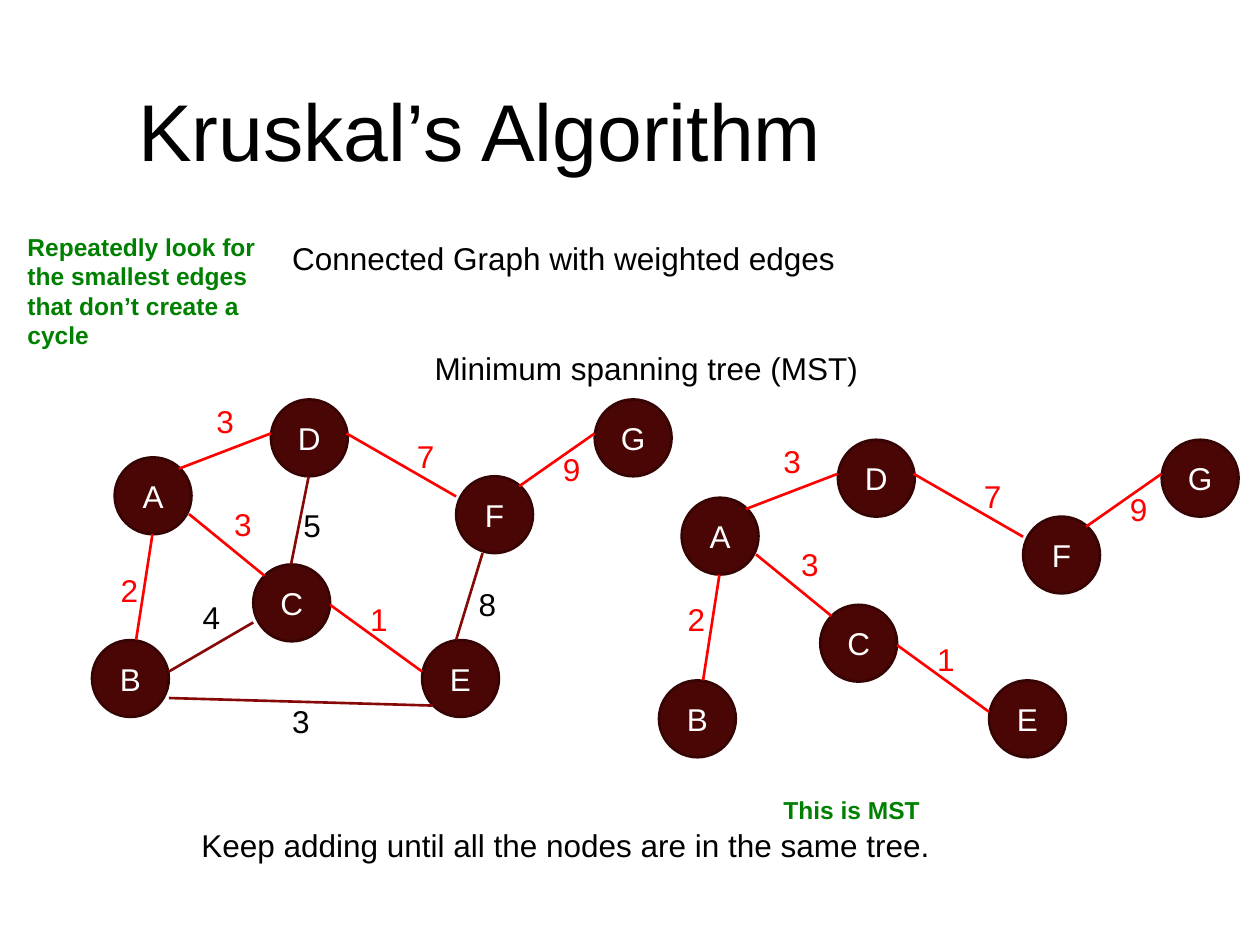
from lxml import etree
from pptx import Presentation
from pptx.dml.color import RGBColor
from pptx.enum.shapes import MSO_CONNECTOR, MSO_SHAPE
from pptx.enum.text import MSO_ANCHOR, MSO_AUTO_SIZE, PP_ALIGN
from pptx.oxml.ns import qn
from pptx.util import Inches, Pt

STRAIGHT = MSO_CONNECTOR.STRAIGHT
ELLIPSE = MSO_SHAPE.OVAL
MIDDLE = MSO_ANCHOR.MIDDLE
FIT_SHAPE = MSO_AUTO_SIZE.SHAPE_TO_FIT_TEXT
LEFT, CENTER = PP_ALIGN.LEFT, PP_ALIGN.CENTER

COLORS = {
    "text": "000000",
    "note": "008000",
    "node": "4A0505",
    "node_border": "370404",
    "node_text": "FFFFFF",
    "tree_edge": "FF0000",
    "other_edge": "860908",
}
NODE_SIZE = 0.61
LABEL_SIZE = (0.34, 0.4)


def rgb(name):
    return RGBColor.from_string(COLORS[name])


def write(shape, text, size=18, color="text", bold=False, align=LEFT,
          wrap=True, anchor=None, grow=False):
    frame = shape.text_frame
    frame.word_wrap = wrap
    if anchor is not None:
        frame.vertical_anchor = anchor
    if grow:
        frame.auto_size = FIT_SHAPE
    paragraph = frame.paragraphs[0]
    paragraph.alignment = align
    run = paragraph.add_run()
    run.text = text
    run.font.name = "Arial"
    run.font.size = Pt(size)
    run.font.bold = bold
    run.font.color.rgb = rgb(color)


prs = Presentation()
prs.slide_width, prs.slide_height = Inches(10), Inches(7.5)
slide = prs.slides.add_slide(prs.slide_layouts[6])
shapes = slide.shapes

# Title and explanations
texts = [
    ("Kruskal’s Algorithm", (1, 0.55, 8, 0.95), {"size": 46, "anchor": MIDDLE}),
    ("Minimum spanning tree (MST)", (3.35, 2.72, 3.79, 0.4),
     {"wrap": False, "grow": True}),
    ("Connected Graph with weighted edges", (2.22, 1.85, 6.79, 0.4),
     {"grow": True}),
    ("Repeatedly look for the smallest edges that don’t create a cycle",
     (0.12, 1.79, 2.16, 1.04),
     {"size": 14, "color": "note", "bold": True, "grow": True}),
    ("Keep adding until all the nodes are in the same tree.",
     (1.5, 6.51, 6.62, 0.4), {"wrap": False, "grow": True}),
    ("This is MST", (6.12, 6.26, 2.06, 0.34),
     {"size": 14, "color": "note", "bold": True, "grow": True}),
]
for text, box, text_format in texts:
    write(shapes.add_textbox(*map(Inches, box)), text, **text_format)

# Left and top of each node in the full graph
nodes = {
    "A": (0.91, 3.63),
    "D": (2.15, 3.17),
    "C": (2.01, 4.48),
    "F": (3.62, 3.78),
    "G": (4.72, 3.17),
    "E": (3.35, 5.08),
    "B": (0.73, 5.08),
}
# Weight, start, end, left and top of the weight label
tree_edges = [
    ("3", (2.15, 3.44), (1.42, 3.72), (1.62, 3.14)),
    ("2", (1.08, 5.08), (1.21, 4.24), (0.86, 4.48)),
    ("7", (3.62, 3.94), (2.75, 3.44), (3.21, 3.42)),
    ("1", (3.35, 5.33), (2.62, 4.8), (2.84, 4.71)),
    ("9", (4.72, 3.44), (4.12, 3.86), (4.37, 3.52)),
    ("3", (2.1, 4.57), (1.5, 4.08), (1.76, 3.96)),
]
other_edges = [
    ("5", (2.45, 3.78), (2.31, 4.48), (2.31, 3.97)),
    ("4", (2.01, 4.94), (1.34, 5.33), (1.51, 4.7)),
    ("8", (3.62, 5.08), (3.83, 4.39), (3.7, 4.59)),
    ("3", (3.44, 5.6), (1.34, 5.54), (2.22, 5.52)),
]

# The spanning tree repeats the graph, shifted, without the other edges;
# its label 2 sits a little higher on its edge.
graphs = [
    (0, 0, other_edges, {}),
    (4.5, 0.32, [], {"2": -0.09}),
]
for dx, dy, extra_edges, label_shifts in graphs:
    for letter, (left, top) in nodes.items():
        node = shapes.add_shape(ELLIPSE, Inches(left + dx), Inches(top + dy),
                                Inches(NODE_SIZE), Inches(NODE_SIZE))
        node.shadow.inherit = False
        node.fill.solid()
        node.fill.fore_color.rgb = rgb("node")
        node.line.color.rgb = rgb("node_border")
        node.line.width = Pt(1.5)
        write(node, letter, color="node_text", align=CENTER, anchor=MIDDLE)

    styled_edges = [
        (tree_edges, "tree_edge", "tree_edge"),
        (extra_edges, "other_edge", "text"),
    ]
    for edges, line_color, label_color in styled_edges:
        for weight, (x1, y1), (x2, y2), (left, top) in edges:
            edge = shapes.add_connector(
                STRAIGHT, Inches(x1 + dx), Inches(y1 + dy),
                Inches(x2 + dx), Inches(y2 + dy))
            edge.line.color.rgb = rgb(line_color)
            edge.line.width = Pt(1.5)
            etree.SubElement(edge._element.spPr, qn("a:effectLst"))

            label_top = top + dy + label_shifts.get(weight, 0)
            label = shapes.add_textbox(Inches(left + dx), Inches(label_top),
                                       *map(Inches, LABEL_SIZE))
            write(label, weight, color=label_color, wrap=False, grow=True)

prs.save("out.pptx")
